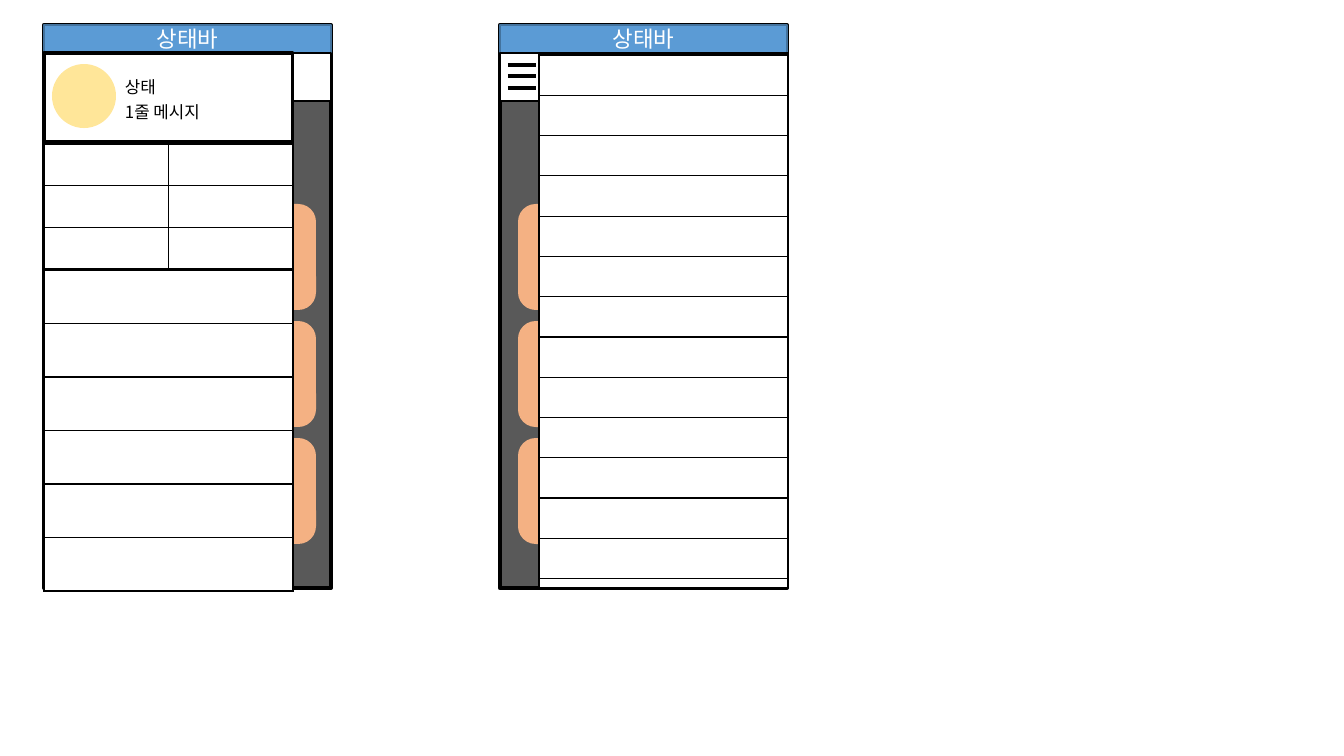
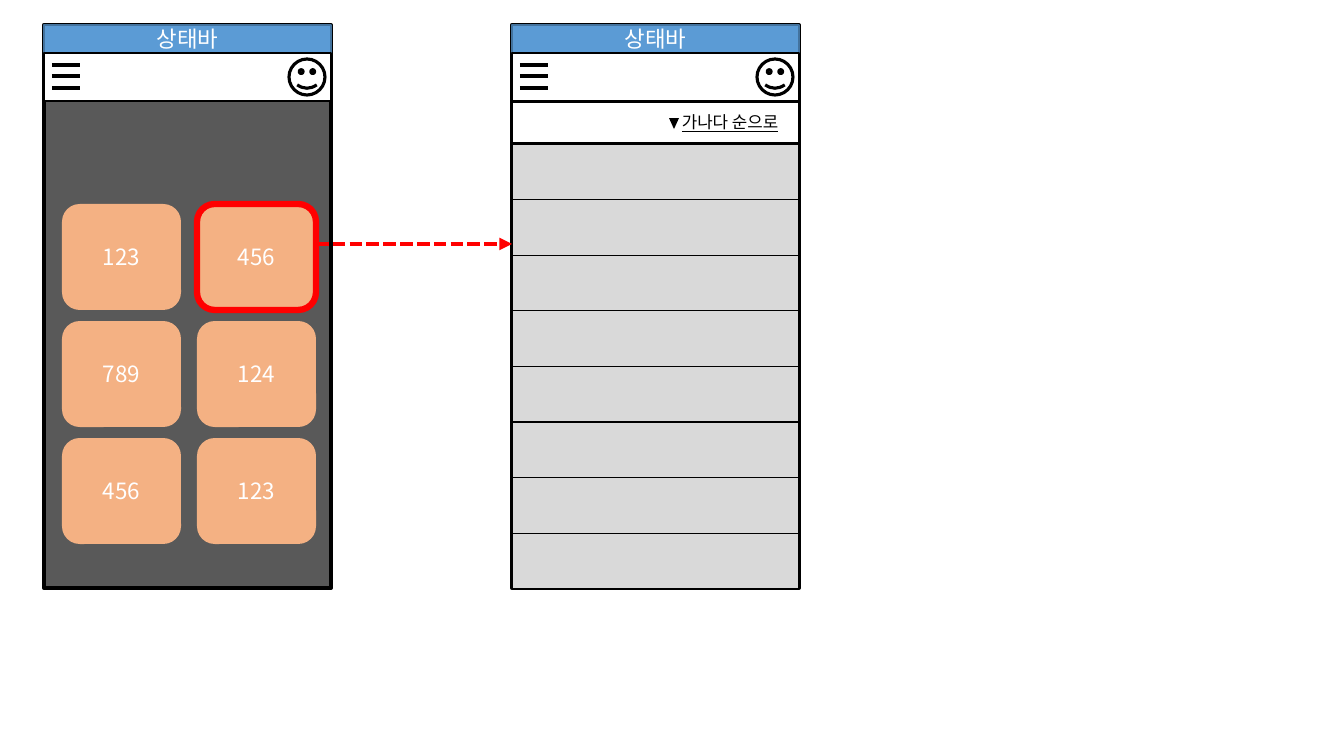
"""Build two wireframe slides of a phone application."""
import dataclasses
import typing

import lxml.etree
import pptx
import pptx.dml.color
import pptx.enum.dml
import pptx.enum.shapes
import pptx.enum.text
import pptx.oxml.ns
import pptx.util

RGB = pptx.dml.color.RGBColor
SHAPE = pptx.enum.shapes.MSO_SHAPE
ALIGN = pptx.enum.text.PP_ALIGN

BLACK = RGB(0x00, 0x00, 0x00)
WHITE = RGB(0xFF, 0xFF, 0xFF)
SCREEN_GRAY = RGB(0x59, 0x59, 0x59)
LIST_GRAY = RGB(0xD9, 0xD9, 0xD9)
STATUS_BLUE = RGB(0x5B, 0x9B, 0xD5)
STATUS_EDGE = RGB(0x43, 0x73, 0x9E)
TILE_ORANGE = RGB(0xF4, 0xB1, 0x83)
AVATAR_YELLOW = RGB(0xFF, 0xE6, 0x99)
ACCENT_RED = RGB(0xFF, 0x00, 0x00)

FONT = "Noto Sans CJK KR"
EMU_PER_PIXEL = 914400 / 100.8
PHONE_TOP, PHONE_WIDTH, PHONE_HEIGHT = 25, 287, 563
BAR_TOP, BAR_HEIGHT = 53, 48
DRAWER_WIDTH = 249
TILE_LEFT, TILE_TOP, TILE_WIDTH, TILE_HEIGHT = 18, 204, 119, 106
TILE_STEP_X, TILE_STEP_Y = 135, 117
TILE_CAPTIONS = (("123", "456"), ("789", "124"), ("456", "123"))
MENU_LINES = (65, 76, 88)


@dataclasses.dataclass(frozen=True)
class Box:
    """A rectangle in pixels."""

    left: int
    top: int
    width: int
    height: int

    def emu(self) -> list[pptx.util.Emu]:
        """Return left, top, width and height in EMU."""
        return [emu(value) for value in dataclasses.astuple(self)]


@dataclasses.dataclass(frozen=True)
class Phone:
    """A phone screen and the parts shown on it."""

    left: int
    tile_columns: tuple[int, ...] = ()
    selected: typing.Optional[tuple[int, int]] = None
    menu: bool = False
    face: bool = False
    drawer_left: typing.Optional[int] = None


@dataclasses.dataclass(frozen=True)
class Grid:
    """A ruled table of empty cells."""

    box: Box
    rows: int
    columns: int = 1
    fill: RGB = WHITE


@dataclasses.dataclass(frozen=True)
class Label:
    """A line of free text."""

    box: Box
    text: str
    wrap: bool = False
    underline: bool = False


def emu(pixels: float) -> pptx.util.Emu:
    """Convert pixels to EMU."""
    return pptx.util.Emu(round(pixels * EMU_PER_PIXEL))


def write(frame, text: str, size: int, color: RGB, align=ALIGN.LEFT, underline: bool = False) -> None:
    """Write one formatted paragraph into a text frame."""
    para = frame.paragraphs[0]
    para.text = text
    para.alignment = align
    para.font.size = pptx.util.Pt(size)
    para.font.color.rgb = color
    para.font.name = FONT
    if underline:
        para.font.underline = True
    defaults = para._p.pPr.find(pptx.oxml.ns.qn("a:defRPr"))
    lxml.etree.SubElement(defaults, pptx.oxml.ns.qn("a:ea"), typeface=FONT)


def draw_shape(page, kind, box: Box, fill: RGB, line: typing.Optional[RGB] = None,
               weight: float = 1, caption: str = ""):
    """Draw a preset shape with an optional outline and caption."""
    shape = page.shapes.add_shape(kind, *box.emu())
    shape.shadow.inherit = False
    shape.fill.solid()
    shape.fill.fore_color.rgb = fill
    if line is None:
        shape.line.fill.background()
    else:
        shape.line.color.rgb = line
        shape.line.width = pptx.util.Pt(weight)
    if caption:
        shape.text_frame.vertical_anchor = pptx.enum.text.MSO_ANCHOR.MIDDLE
        write(shape.text_frame, caption, 16, WHITE, ALIGN.CENTER)
    return shape


def draw_line(shapes, left: int, right: int, height: int, color: RGB):
    """Draw a horizontal line three points thick."""
    line = shapes.add_connector(pptx.enum.shapes.MSO_CONNECTOR.STRAIGHT,
                                emu(left), emu(height), emu(right), emu(height))
    line.line.color.rgb = color
    line.line.width = pptx.util.Pt(3)
    lxml.etree.SubElement(line._element.spPr, pptx.oxml.ns.qn("a:effectLst"))
    return line


def draw_arrow(page, left: int, right: int, height: int) -> None:
    """Draw a dashed red arrow pointing right."""
    arrow = draw_line(page.shapes, left, right, height, ACCENT_RED)
    arrow.line.dash_style = pptx.enum.dml.MSO_LINE.SQUARE_DOT
    outline = arrow._element.spPr.find(pptx.oxml.ns.qn("a:ln"))
    lxml.etree.SubElement(outline, pptx.oxml.ns.qn("a:tailEnd"), type="triangle")


def draw_label(page, label: Label) -> None:
    """Draw a text box holding one label."""
    frame = page.shapes.add_textbox(*label.box.emu()).text_frame
    frame.word_wrap = label.wrap
    write(frame, label.text, 12, BLACK, underline=label.underline)


def rule_cell(cell) -> None:
    """Give a cell thin black borders on all sides."""
    properties = cell._tc.get_or_add_tcPr()
    for index, side in enumerate(("lnL", "lnR", "lnT", "lnB")):
        border = lxml.etree.Element(pptx.oxml.ns.qn(f"a:{side}"), w=str(pptx.util.Pt(1)))
        paint = lxml.etree.SubElement(border, pptx.oxml.ns.qn("a:solidFill"))
        lxml.etree.SubElement(paint, pptx.oxml.ns.qn("a:srgbClr"), val=str(BLACK))
        properties.insert(index, border)


def draw_grid(page, grid: Grid) -> None:
    """Draw a table of equal empty cells."""
    table = page.shapes.add_table(grid.rows, grid.columns, *grid.box.emu()).table
    table.first_row = table.horz_banding = False
    for cell in table.iter_cells():
        cell.margin_top = cell.margin_bottom = 0
        cell.fill.solid()
        cell.fill.fore_color.rgb = grid.fill
        rule_cell(cell)


def draw_tiles(page, phone: Phone) -> None:
    """Draw the tile columns of a phone."""
    for row, captions in enumerate(TILE_CAPTIONS):
        for column in phone.tile_columns:
            box = Box(phone.left + TILE_LEFT + column * TILE_STEP_X,
                      TILE_TOP + row * TILE_STEP_Y, TILE_WIDTH, TILE_HEIGHT)
            edge = ACCENT_RED if phone.selected == (row, column) else None
            draw_shape(page, SHAPE.ROUNDED_RECTANGLE, box, TILE_ORANGE, edge, 4.5, captions[column])


def draw_phone(page, phone: Phone) -> None:
    """Draw a phone with its bars, tiles, icons and drawer."""
    screen = Box(phone.left, PHONE_TOP, PHONE_WIDTH, PHONE_HEIGHT)
    draw_shape(page, SHAPE.RECTANGLE, screen, SCREEN_GRAY, BLACK, 3)
    status = Box(phone.left, PHONE_TOP, PHONE_WIDTH, BAR_TOP - PHONE_TOP)
    draw_shape(page, SHAPE.RECTANGLE, status, STATUS_BLUE, STATUS_EDGE, caption="상태바")
    draw_tiles(page, phone)
    bar = Box(phone.left, BAR_TOP, PHONE_WIDTH, BAR_HEIGHT)
    draw_shape(page, SHAPE.RECTANGLE, bar, WHITE, BLACK)
    if phone.menu:
        menu = page.shapes.add_group_shape()
        for height in MENU_LINES:
            draw_line(menu.shapes, phone.left + 8, phone.left + 36, height, BLACK)
    if phone.face:
        face = Box(phone.left + 245, 59, 36, 36)
        draw_shape(page, SHAPE.SMILEY_FACE, face, WHITE, BLACK, 2.25)
    if phone.drawer_left is not None:
        drawer = Box(phone.drawer_left, BAR_TOP, DRAWER_WIDTH, PHONE_TOP + PHONE_HEIGHT - BAR_TOP)
        draw_shape(page, SHAPE.RECTANGLE, drawer, WHITE, BLACK)


def draw_drawers(page) -> None:
    """Draw the phones with the left and the right drawer open."""
    draw_phone(page, Phone(44, tile_columns=(1,), drawer_left=44))
    draw_shape(page, SHAPE.RECTANGLE, Box(44, BAR_TOP, DRAWER_WIDTH, 89), WHITE, BLACK, 2.25)
    draw_shape(page, SHAPE.OVAL, Box(52, 64, 64, 64), AVATAR_YELLOW)
    draw_label(page, Label(Box(115, 72, 54, 30), "상태"))
    draw_label(page, Label(Box(115, 97, 104, 30), "1줄 메시지"))
    draw_phone(page, Phone(500, tile_columns=(0,), menu=True, drawer_left=539))
    for grid in (Grid(Box(539, 55, DRAWER_WIDTH, 524), rows=13),
                 Grid(Box(44, 144, DRAWER_WIDTH, 125), rows=3, columns=2),
                 Grid(Box(44, 270, DRAWER_WIDTH, 321), rows=6)):
        draw_grid(page, grid)


def draw_tile_to_list(page) -> None:
    """Draw the tile screen leading to the sorted list."""
    draw_phone(page, Phone(512, menu=True, face=True))
    draw_grid(page, Grid(Box(512, 102, PHONE_WIDTH, 41), rows=1))
    draw_grid(page, Grid(Box(512, 144, PHONE_WIDTH, 445), rows=8, fill=LIST_GRAY))
    draw_phone(page, Phone(44, tile_columns=(0, 1), selected=(0, 1), menu=True, face=True))
    draw_arrow(page, 316, 512, 244)
    marker = draw_shape(page, SHAPE.ISOSCELES_TRIANGLE, Box(669, 118, 10, 11), BLACK)
    marker.rotation = 180
    draw_label(page, Label(Box(672, 107, 127, 30), "가나다 순으로", wrap=True, underline=True))


def main() -> None:
    """Build and save the deck."""
    deck = pptx.Presentation()
    deck.slide_width, deck.slide_height = emu(1344), emu(756)
    for draw in (draw_drawers, draw_tile_to_list):
        draw(deck.slides.add_slide(deck.slide_layouts[6]))
    deck.save("out.pptx")


main()
